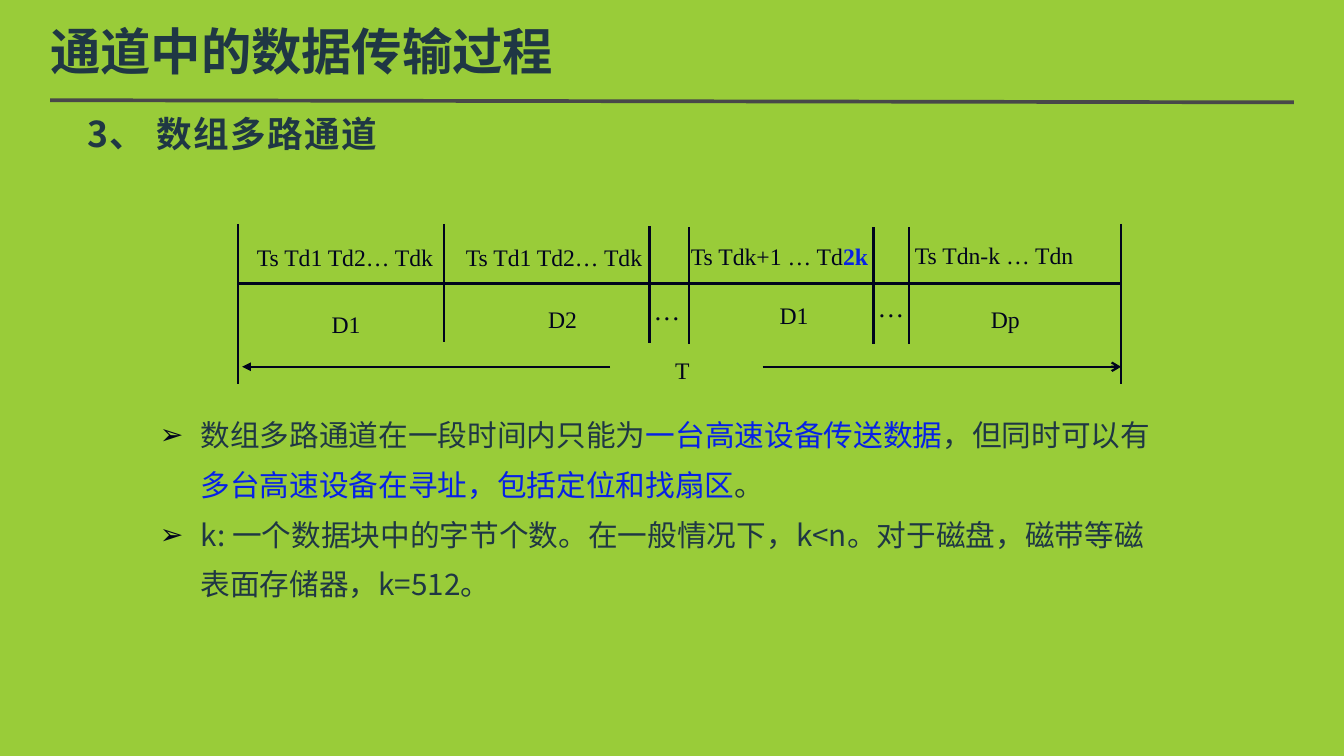
import pptx
import pptx.util
import pptx.dml.color
import pptx.enum.shapes
import pptx.enum.text
import pptx.oxml
import pptx.oxml.ns
from pptx.util import Inches

INK, NAVY, BLUE = "01041D", "1F3744", "0621E6"
SANS, SERIF = "Noto Sans CJK SC", "Times New Roman"
LABEL = {"size": 16, "name": SERIF, "color": INK}
DOTS = {**LABEL, "size": 18}
BODY = {"size": 20, "name": SANS, "color": NAVY}
KEY = {**BODY, "color": BLUE}
HEADING = {"size": 24, "name": SANS, "color": NAVY, "bold": True}
TITLE = {"size": 34, "name": "Arial", "color": NAVY, "bold": True}


def rgb(value):
    """Turn a hex string into a colour."""
    return pptx.dml.color.RGBColor.from_string(value)


def element(tag, **attrs):
    """Make a DrawingML element."""
    el = pptx.oxml.parse_xml(f"<a:{tag} {pptx.oxml.ns.nsdecls('a')}/>")
    for key, value in attrs.items():
        el.set(key, value)
    return el


def add_run(p, text, style):
    """Add a formatted run to a paragraph."""
    r = p.add_run()
    r.text = text
    for key, value in style.items():
        if key == "color":
            r.font.color.rgb = rgb(value)
        elif key == "size":
            r.font.size = pptx.util.Pt(value)
        else:
            setattr(r.font, key, value)
    east_asian = SERIF if style["name"] == SERIF else SANS
    r.font._element.append(element("ea", typeface=east_asian))
    return r


def add_text(slide, box, text, style, wrap=True):
    """Add a one-line text box."""
    sp = slide.shapes.add_textbox(*map(Inches, box))
    tf = sp.text_frame
    tf.word_wrap = wrap
    return add_run(tf.paragraphs[0], text, style)


def add_line(slide, start, end, color=INK, width=1.5, arrow=None):
    """Add a straight line, with an optional arrowhead at its end."""
    kind = pptx.enum.shapes.MSO_CONNECTOR.STRAIGHT
    line = slide.shapes.add_connector(kind, *map(Inches, (*start, *end)))
    line.line.color.rgb = rgb(color)
    line.line.width = pptx.util.Pt(width)
    if arrow:
        line.line._get_or_add_ln().append(element("tailEnd", type=arrow))
    line._element.spPr.append(element("effectLst"))


def set_title(slide, text):
    """Place and format the slide title."""
    sp = slide.shapes.title
    sp.left, sp.top, sp.width, sp.height = map(Inches, (0.47, 0.16, 11.65, 0.63))
    tf = sp.text_frame
    frame = {"margin_left": 0, "margin_right": 0, "margin_top": 0, "margin_bottom": 0,
             "vertical_anchor": pptx.enum.text.MSO_ANCHOR.MIDDLE,
             "auto_size": pptx.enum.text.MSO_AUTO_SIZE.NONE}
    for key, value in frame.items():
        setattr(tf, key, value)
    p = tf.paragraphs[0]
    p.alignment = pptx.enum.text.PP_ALIGN.LEFT
    add_run(p, text, TITLE)


def add_bullets(slide, box, items):
    """Add a bulleted list whose items are lists of text and style pairs."""
    tf = slide.shapes.add_textbox(*map(Inches, box)).text_frame
    tf.word_wrap = True
    for i, runs in enumerate(items):
        p = tf.add_paragraph() if i else tf.paragraphs[0]
        p.line_spacing = 1.4
        pPr = p._p.get_or_add_pPr()
        pPr.set("marL", str(Inches(0.38)))
        pPr.set("indent", str(-Inches(0.38)))
        color = element("buClr")
        color.append(element("srgbClr", val=INK))
        pPr.extend([color, element("buSzPct", val="95000"),
                    element("buFont", typeface="Arial"), element("buChar", char="➢")])
        for text, style in runs:
            add_run(p, text, style)


def add_timeline(slide):
    """Draw the transfer timeline with its dividers, labels and span."""
    left, right, axis, span = 2.23, 10.51, 2.66, 3.44
    add_line(slide, (left, axis), (right, axis))
    dividers = [(left, 2.1, 3.6), (4.16, 2.1, 3.21), (6.09, 2.12, 3.22), (6.46, 2.13, 3.23),
                (8.19, 2.13, 3.23), (8.52, 2.13, 3.23), (right, 2.1, 3.6)]
    for x, top, bottom in dividers:
        add_line(slide, (x, top), (x, bottom))
    add_line(slide, (5.72, span), (2.27, span), arrow="triangle")
    add_line(slide, (7.15, span), (right, span), arrow="arrow")

    slots = [(2.31, 2.23, "Ts Td1 Td2… Tdk"), (4.27, 2.23, "Ts Td1 Td2… Tdk"),
             (8.48, 2.21, "Ts Tdn-k … Tdn")]
    for x, y, text in slots:
        add_text(slide, (x, y, 2.24, 0.37), text, LABEL)
    sp = slide.shapes.add_textbox(*map(Inches, (6.38, 2.22, 2.44, 0.37)))
    sp.text_frame.word_wrap = True
    p = sp.text_frame.paragraphs[0]
    add_run(p, "Ts Tdk+1 … Td", LABEL)
    add_run(p, "2k", {**LABEL, "color": BLUE, "bold": True})

    devices = [(3.01, 2.86, "D1"), (5.04, 2.81, "D2"), (7.21, 2.77, "D1"),
               (9.19, 2.81, "Dp"), (6.23, 3.29, "T")]
    for x, y, text in devices:
        add_text(slide, (x, y, 0.68, 0.37), text, LABEL)
    for x, y in [(6.03, 2.71), (8.13, 2.68)]:
        add_text(slide, (x, y, 0.45, 0.4), "…", DOTS, wrap=False)


def main():
    """Build and save the slide."""
    prs = pptx.Presentation()
    prs.slide_width, prs.slide_height = Inches(12.6), Inches(7.09)
    slide = prs.slides.add_slide(prs.slide_layouts[5])
    slide.background.fill.solid()
    slide.background.fill.fore_color.rgb = rgb("99CC39")

    set_title(slide, "通道中的数据传输过程")
    add_line(slide, (0.47, 0.94), (12.13, 0.96), "484849", 2.5)
    heading = add_text(slide, (0.72, 1, 11.09, 0.6), "3、 数组多路通道", HEADING)
    heading.font._element.set("spc", "100")
    add_timeline(slide)
    add_bullets(slide, (1.4, 3.73, 9.55, 1.93), [
        [("数组多路通道在一段时间内只能为", BODY), ("一台高速设备传送数据", KEY),
         ("，但同时可以有", BODY), ("多台高速设备在寻址，包括定位和找扇区", KEY), ("。", BODY)],
        [("k: 一个数据块中的字节个数。在一般情况下，k<n。对于磁盘，磁带等磁表面存储器，k=512。", BODY)],
    ])
    prs.save("out.pptx")


if __name__ == "__main__":
    main()
